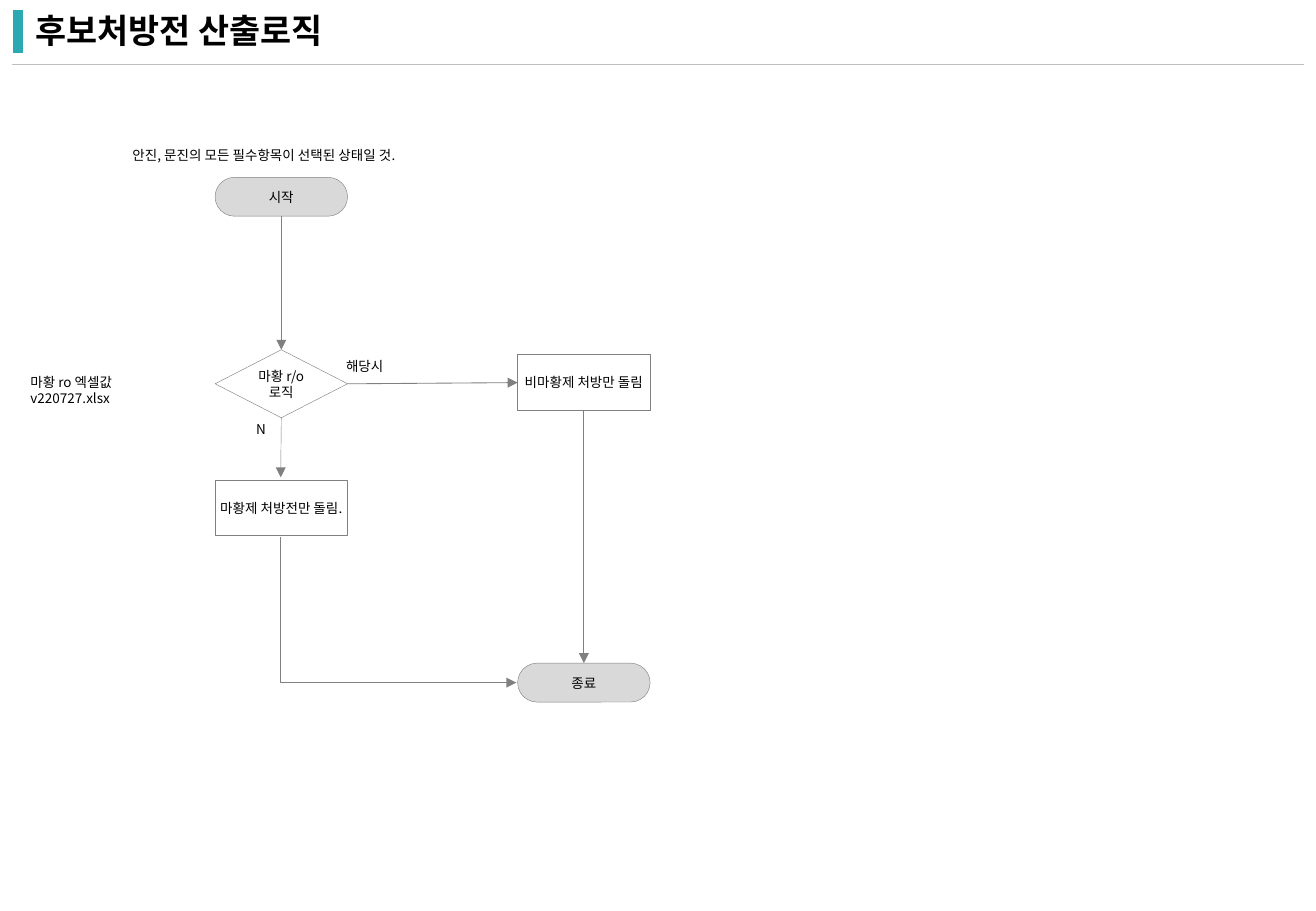
"""Build the flowchart slide for the prescription candidate logic."""
from pptx import Presentation
from pptx.dml.color import RGBColor
from pptx.enum.shapes import MSO_CONNECTOR, MSO_SHAPE
from pptx.enum.text import MSO_ANCHOR, MSO_AUTO_SIZE, PP_ALIGN
from pptx.oxml.ns import qn
from pptx.util import Pt
from lxml.etree import SubElement

PX = 9144
THEME = {
    "font": "Noto Sans CJK KR", "title": 20, "body": 8,
    "ink": RGBColor(0, 0, 0), "paper": RGBColor(255, 255, 255),
    "accent": RGBColor(0x2C, 0xA8, 0xB2), "rule": RGBColor(0xBF, 0xBF, 0xBF),
    "edge": RGBColor(0x80, 0x80, 0x80), "cap": RGBColor(0xD9, 0xD9, 0xD9),
}


def write(frame, text, size, align, pad=None):
    frame.text = text
    if pad is not None:
        frame.margin_left = frame.margin_right = pad * PX
        frame.margin_top = frame.margin_bottom = pad * PX
    for para in frame.paragraphs:
        para.alignment = align
        for run in para.runs:
            run.font.name = THEME["font"]
            run.font.size = Pt(THEME[size])
            run.font.color.rgb = THEME["ink"]
            SubElement(run.font._element, qn("a:ea"), typeface=THEME["font"])


def link(kind, ends, color, width, arrow=True):
    line = slide.shapes.add_connector(kind, *[n * PX for n in ends])
    line.line.color.rgb = THEME[color]
    line.line.width = Pt(width)
    if arrow:
        SubElement(line.line._get_or_add_ln(), qn("a:tailEnd"), type="triangle")
    SubElement(line._element.spPr, qn("a:effectLst"))
    return line


deck = Presentation()
deck.slide_width, deck.slide_height = 1083 * PX, 750 * PX
slide = deck.slides.add_slide(deck.slide_layouts[5])

link(MSO_CONNECTOR.STRAIGHT, (15, 8, 15, 44), "accent", 6, False)
link(MSO_CONNECTOR.STRAIGHT, (10, 53, 1073, 53), "rule", 0.5, False)

title = slide.shapes.title
title.left, title.top, title.width, title.height = [n * PX for n in (19, 9, 934, 35)]
write(title.text_frame, "후보처방전 산출로직", "title", PP_ALIGN.LEFT)
title.text_frame.auto_size = MSO_AUTO_SIZE.NONE
title.text_frame.vertical_anchor = MSO_ANCHOR.MIDDLE
title.text_frame.paragraphs[0].line_spacing = 0.9
title.text_frame.paragraphs[0].runs[0].font.bold = True

nodes = {}
for name, kind, left, top, high, fill, text in (
    ("start", MSO_SHAPE.ROUNDED_RECTANGLE, 177, 146, 32, "cap", "시작"),
    ("end", MSO_SHAPE.ROUNDED_RECTANGLE, 426, 546, 32, "cap", "종료"),
    ("check", MSO_SHAPE.DIAMOND, 177, 288, 56, "paper", "마황 r/o 로직"),
    ("with", MSO_SHAPE.RECTANGLE, 177, 395, 46, "paper", "마황제 처방전만 돌림."),
    ("without", MSO_SHAPE.RECTANGLE, 426, 292, 46, "paper", "비마황제 처방만 돌림"),
):
    node = slide.shapes.add_shape(kind, left * PX, top * PX, 109 * PX, high * PX)
    node.shadow.inherit = False
    node.fill.solid()
    node.fill.fore_color.rgb = THEME[fill]
    node.line.color.rgb = THEME["edge"]
    node.line.width = Pt(0.25)
    if kind == MSO_SHAPE.ROUNDED_RECTANGLE:
        node.adjustments[0] = 0.5
    write(node.text_frame, text, "body", PP_ALIGN.CENTER, 4)
    node.text_frame.vertical_anchor = MSO_ANCHOR.MIDDLE
    nodes[name] = node

for ends, first, out, last, into, width in (
    ((231, 178, 231, 288), "start", 2, "check", 0, 0.5),
    ((231, 344, 231, 393), "check", 2, None, None, 0.25),
    ((286, 316, 426, 315), "check", 3, "without", 1, 0.5),
    ((480, 338, 480, 546), "without", 2, "end", 0, 0.5),
):
    line = link(MSO_CONNECTOR.STRAIGHT, ends, "edge", width)
    line.begin_connect(nodes[first], out)
    if last:
        line.end_connect(nodes[last], into)

bend = link(MSO_CONNECTOR.ELBOW, (388, 405, 268, 599), "edge", 0.5)
bend._element.spPr.find(qn("a:xfrm")).set("rot", "16200000")
bend._element.spPr.find(qn("a:prstGeom")).set("prst", "bentConnector2")

for text, left, top, wide, high, pad in (
    ("N", 201, 342, 28, 24, None),
    ("해당시", 275, 290, 54, 24, None),
    ("안진, 문진의 모든 필수항목이 선택된 상태일 것.", 109, 121, 242, 13, 0),
    ("마황 ro 엑셀값\vv220727.xlsx", 25, 308, 142, 26, 0),
):
    note = slide.shapes.add_textbox(left * PX, top * PX, wide * PX, high * PX)
    note.text_frame.word_wrap = False
    note.text_frame.auto_size = MSO_AUTO_SIZE.SHAPE_TO_FIT_TEXT
    write(note.text_frame, text, "body", PP_ALIGN.LEFT, pad)

deck.save("out.pptx")
